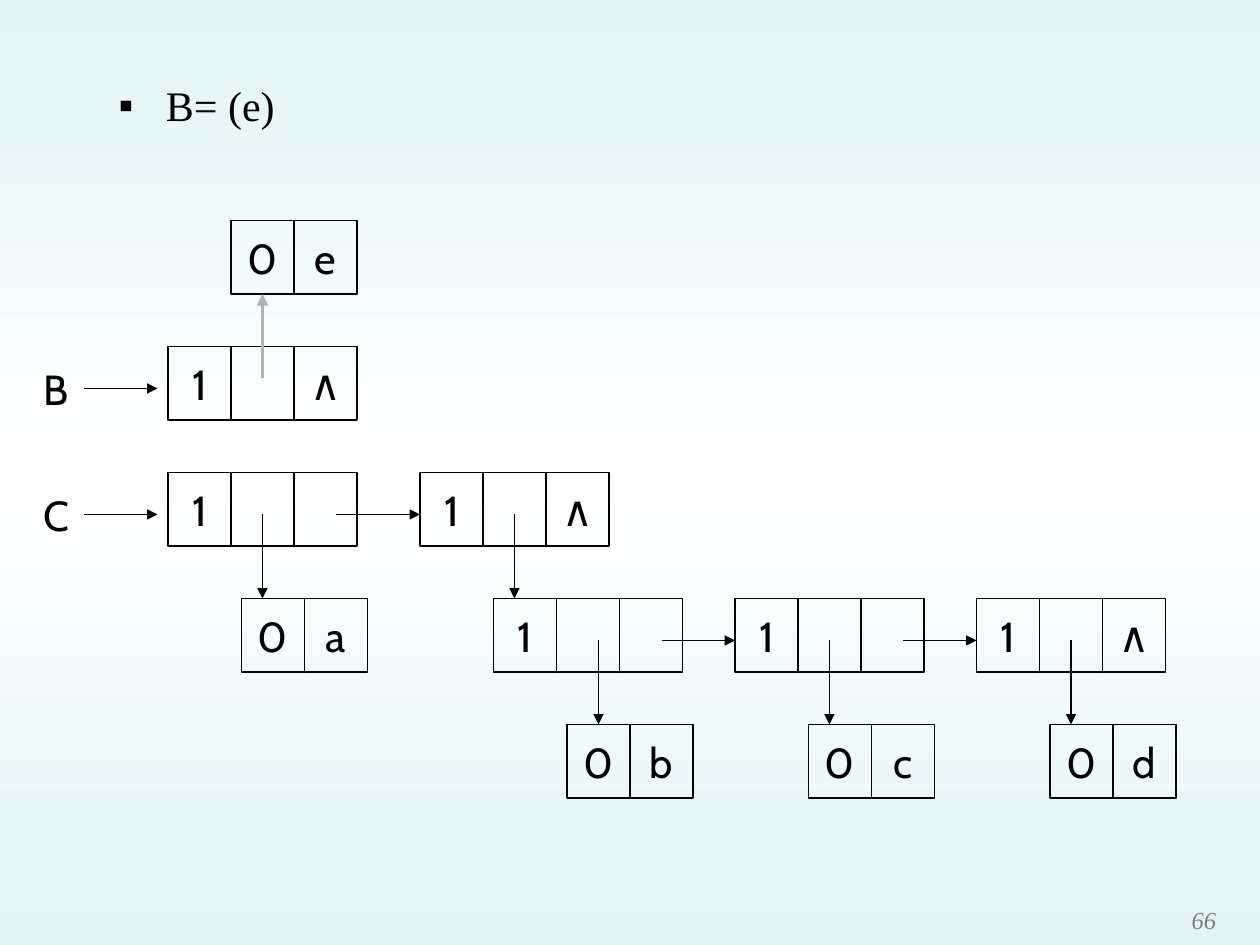
"""Build a slide showing the linked storage of the generalized lists B and C."""
from copy import deepcopy

from lxml import etree
from pptx import Presentation
from pptx.dml.color import RGBColor
from pptx.enum.shapes import MSO_CONNECTOR, MSO_SHAPE
from pptx.enum.text import MSO_ANCHOR, MSO_AUTO_SIZE, PP_ALIGN
from pptx.oxml.ns import qn
from pptx.util import Pt

RECT = MSO_SHAPE.RECTANGLE
LINE = MSO_CONNECTOR.STRAIGHT
MID, LOW = MSO_ANCHOR.MIDDLE, MSO_ANCHOR.BOTTOM
MID_X, RIGHT = PP_ALIGN.CENTER, PP_ALIGN.RIGHT
GROW = MSO_AUTO_SIZE.SHAPE_TO_FIT_TEXT
PX = 7620
WIDE, HIGH = 60, 70
SERIF, SANS = "Times New Roman", "Cabin"


def color(code):
    return RGBColor.from_string(code)


def write(para, text, face=SANS, size=24, ink="000000"):
    run = para.add_run()
    run.text = text
    run.font.name = face
    run.font.size = Pt(size)
    run.font.color.rgb = color(ink)
    return run


deck = Presentation()
deck.slide_width, deck.slide_height = 1200 * PX, 900 * PX
slide = deck.slides.add_slide(deck.slide_layouts[1])
shapes = slide.shapes

fill = slide.background.fill
fill.gradient()
fill.gradient_angle = 90
stops = slide.element.find(".//" + qn("a:gsLst"))
stops.append(deepcopy(stops[0]))
for stop, place, code in zip(fill.gradient_stops, (0, 0.5, 1), ("E2F4F6", "FFFFFF", "E2F4F6")):
    stop.position = place
    stop.color.rgb = color(code)

title = shapes.title.element
title.getparent().remove(title)
body = slide.placeholders[1]
body.left, body.top, body.width, body.height = 90 * PX, 70 * PX, 825 * PX, 90 * PX
para = body.text_frame.paragraphs[0]
props = para._p.get_or_add_pPr()
props.set("marL", str(56 * PX))
props.set("indent", str(-45 * PX))
etree.SubElement(props, qn("a:buFont")).set("typeface", SERIF)
etree.SubElement(props, qn("a:buChar")).set("char", "▪")
para.space_before = Pt(0)
write(para, "B= (e)", SERIF)

for name, y in (("B", 340), ("C", 460)):
    box = shapes.add_textbox(30 * PX, y * PX, 50 * PX, 60 * PX)
    frame = box.text_frame
    frame.word_wrap = True
    frame.auto_size = GROW
    write(frame.paragraphs[0], name)

nodes = [
    (220, 210, "0e"), (160, 330, "1 ∧"),
    (160, 450, "1  "), (400, 450, "1 ∧"),
    (230, 570, "0a"), (470, 570, "1  "), (700, 570, "1  "), (930, 570, "1 ∧"),
    (540, 690, "0b"), (770, 690, "0c"), (1000, 690, "0d"),
]
for x, y, marks in nodes:
    for i, mark in enumerate(marks):
        cell = shapes.add_shape(RECT, (x + i * WIDE) * PX, y * PX, WIDE * PX, HIGH * PX)
        cell.shadow.inherit = False
        cell.fill.background()
        cell.line.color.rgb = color("000000")
        cell.line.width = Pt(0.75)
        if mark != " ":
            frame = cell.text_frame
            frame.word_wrap = False
            frame.vertical_anchor = MID
            para = frame.paragraphs[0]
            para.alignment = MID_X
            write(para, mark)

links = [(80, 370, 150, 370), (80, 490, 150, 490), (320, 490, 400, 490),
         (630, 610, 700, 610), (860, 610, 930, 610)]
drops = [(250, 490), (490, 490), (570, 610), (790, 610), (1020, 610)]
links += [(x, y, x, y + 80) for x, y in drops]
arrows = [(link, "000000", 0.75) for link in links]
arrows.append(((250, 360, 250, 280), "B2B2B2", 2.25))
for ends, ink, thick in arrows:
    arrow = shapes.add_connector(LINE, *(end * PX for end in ends))
    arrow.line.color.rgb = color(ink)
    arrow.line.width = Pt(thick)
    etree.SubElement(arrow.line._get_or_add_ln(), qn("a:tailEnd")).set("type", "triangle")
    etree.SubElement(arrow.element.spPr, qn("a:effectLst"))

box = shapes.add_textbox(1090 * PX, 850 * PX, 80 * PX, 40 * PX)
frame = box.text_frame
frame.word_wrap = False
frame.vertical_anchor = LOW
frame.margin_top = frame.margin_bottom = 0
para = frame.paragraphs[0]
para.alignment = RIGHT
write(para, "66", SERIF, 14, "808080").font.italic = True

deck.save("out.pptx")
